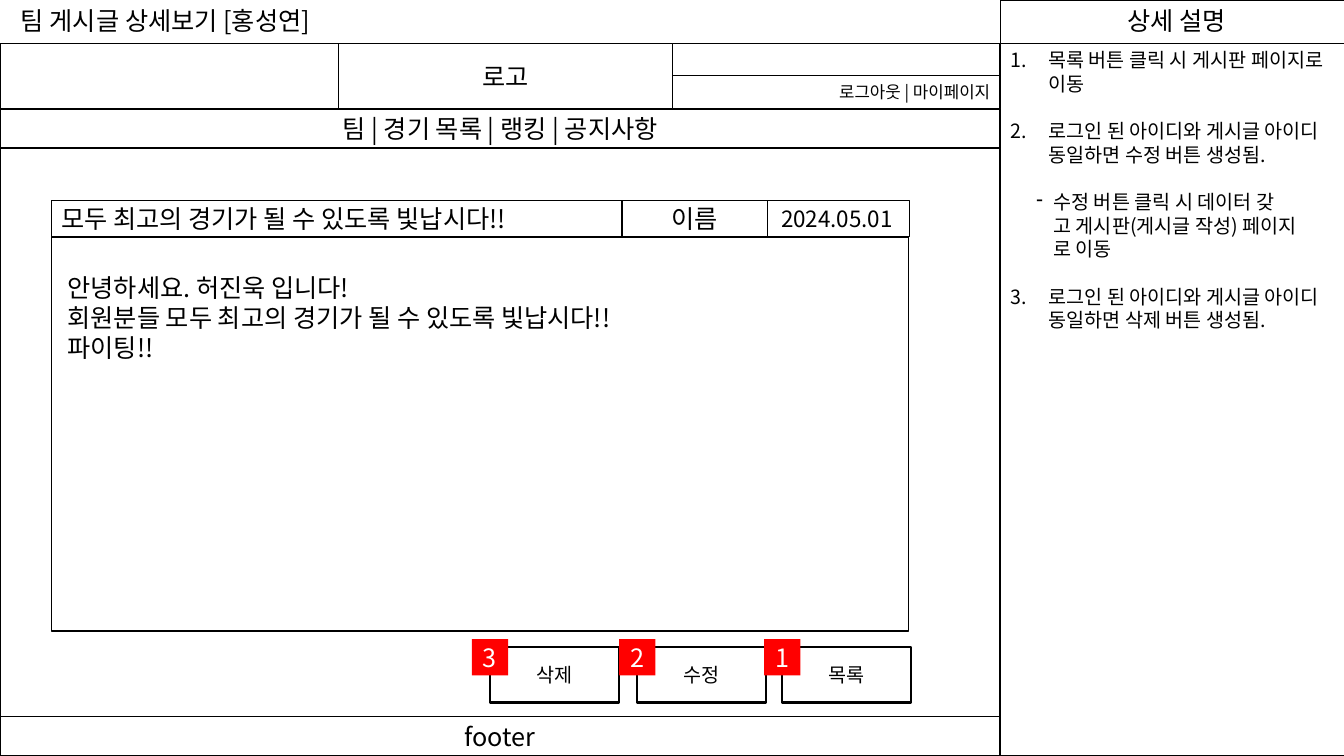
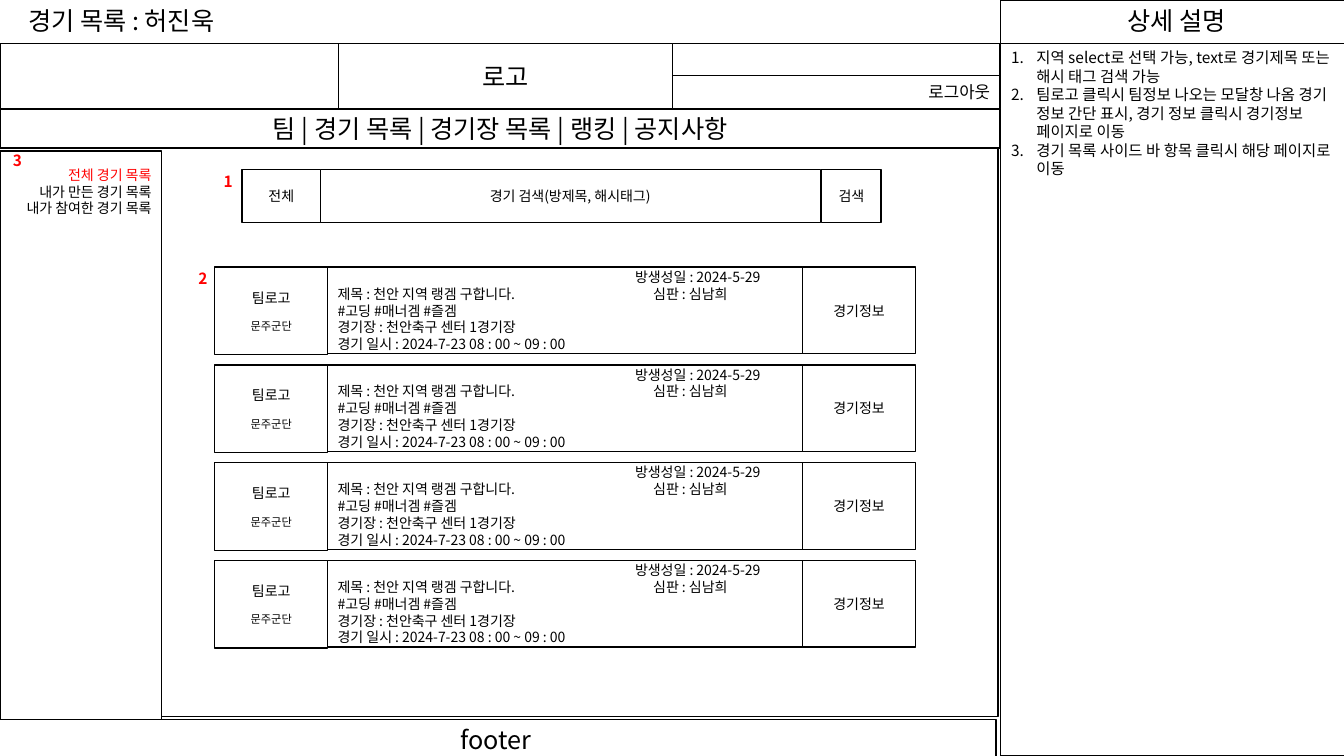
from lxml.etree import SubElement
from pptx import Presentation
from pptx.dml.color import RGBColor
from pptx.enum.shapes import MSO_SHAPE as SHAPE
from pptx.enum.text import MSO_ANCHOR as ANCHOR, MSO_AUTO_SIZE as AUTO_SIZE, PP_ALIGN as ALIGN
from pptx.oxml.ns import qn
from pptx.util import Inches, Pt

BLACK = RGBColor(0x00, 0x00, 0x00)
WHITE = RGBColor(0xFF, 0xFF, 0xFF)
RED = RGBColor(0xFF, 0x00, 0x00)
FONT = "Noto Sans CJK KR"

PAGE_WIDTH = 9.92
NOTES_WIDTH = 3.42
TITLE_HEIGHT = 0.43
NAV_TOP, NAV_HEIGHT = 1.08, 0.39
BODY_TOP = NAV_TOP + NAV_HEIGHT

CARD_TOP, CARD_PITCH, CARD_COUNT = 2.65, 0.97, 4
CARD_DETAILS = [
    "\t방생성일 : 2024-5-29",
    "제목 : 천안 지역 랭겜 구합니다.\t심판 : 심남희",
    "#고딩 #매너겜 #즐겜",
    "경기장 : 천안축구 센터 1경기장",
    "경기 일시 : 2024-7-23 08 : 00 ~ 09 : 00",
]


def style_run(run, size, color, bold=False):
    run.font.size = Pt(size)
    run.font.name = FONT
    run.font.color.rgb = color
    run.font.bold = bold
    SubElement(run._r.get_or_add_rPr(), qn("a:ea"), typeface=FONT)


def write(frame, text, size, color=BLACK, align=ALIGN.LEFT, bold=False):
    """Fill a frame, one paragraph for each line of text."""
    frame.text = text
    for paragraph in frame.paragraphs:
        paragraph.alignment = align
        for run in paragraph.runs:
            style_run(run, size, color, bold)


def add_box(slide, left, top, width, height, text="", size=18, align=ALIGN.CENTER,
            color=BLACK, fill=WHITE, line=1, anchor=ANCHOR.MIDDLE):
    box = slide.shapes.add_shape(SHAPE.RECTANGLE, Inches(left), Inches(top),
                                 Inches(width), Inches(height))
    box.shadow.inherit = False
    box.fill.solid()
    box.fill.fore_color.rgb = fill
    if line:
        box.line.color.rgb = BLACK
        box.line.width = Pt(line)
    else:
        box.line.fill.background()
    box.text_frame.vertical_anchor = anchor
    if text:
        write(box.text_frame, text, size, color, align)
    return box


def add_label(slide, left, top, width, height, text, size=18, color=BLACK, bold=False):
    label = slide.shapes.add_textbox(Inches(left), Inches(top), Inches(width), Inches(height))
    frame = label.text_frame
    frame.word_wrap = True
    frame.auto_size = AUTO_SIZE.SHAPE_TO_FIT_TEXT
    write(frame, text, size, color, bold=bold)
    return label


def hang(paragraph, left, hanging):
    """Give a paragraph a hanging indent and return its properties."""
    properties = paragraph._p.get_or_add_pPr()
    properties.set("marL", str(Inches(left)))
    properties.set("indent", str(-Inches(hanging)))
    return properties


def number(paragraph, indent, start=1):
    numbering = SubElement(hang(paragraph, indent, indent), qn("a:buAutoNum"),
                           type="arabicPeriod")
    if start > 1:
        numbering.set("startAt", str(start))


def dash(paragraph, left, hanging):
    SubElement(hang(paragraph, left, hanging), qn("a:buChar"), char="-")


def set_tab(paragraph, position):
    tabs = SubElement(paragraph._p.get_or_add_pPr(), qn("a:tabLst"))
    SubElement(tabs, qn("a:tab"), pos=str(Inches(position)), algn="l")


def add_notes_panel(slide):
    add_box(slide, PAGE_WIDTH, TITLE_HEIGHT, NOTES_WIDTH, 7.5 - TITLE_HEIGHT)
    add_box(slide, PAGE_WIDTH, 0, NOTES_WIDTH, TITLE_HEIGHT)
    add_label(slide, 11.08, 0, 1.3, 0.4, "상세 설명")


def add_site_header(slide, menu, account):
    add_box(slide, 0, TITLE_HEIGHT, PAGE_WIDTH, BODY_TOP - TITLE_HEIGHT)
    add_box(slide, 3.36, TITLE_HEIGHT, 3.31, NAV_TOP - TITLE_HEIGHT, "로고")
    add_box(slide, 0, NAV_TOP, PAGE_WIDTH, NAV_HEIGHT, " | ".join(menu))
    add_box(slide, 6.67, 0.75, 3.25, 0.33, account, 12, ALIGN.RIGHT)


def add_footer(slide, left, top):
    add_box(slide, left, top, PAGE_WIDTH, 0.39, "footer")


def add_numbered_button(slide, left, caption, mark):
    top = 6.42
    add_box(slide, left, top, 1.28, 0.55, caption, 14, line=1.5)
    add_box(slide, left - 0.18, top - 0.08, 0.36, 0.36, mark,
            color=WHITE, fill=RED, line=0)


def add_red_mark(slide, left, top, mark):
    add_label(slide, left, top, 0.38, 0.29, mark, 11, RED, bold=True)


def add_match_card(slide, top):
    details = add_box(slide, 3.25, top, 4.71, 0.86, "\n".join(CARD_DETAILS), 10, ALIGN.LEFT)
    created, title = details.text_frame.paragraphs[:2]
    set_tab(created, 2.95)
    set_tab(title, 3.13)
    add_box(slide, 7.96, top, 1.12, 0.86, "경기정보", 10)
    team = add_box(slide, 2.13, top, 1.12, 0.87, "팀로고\n문주군단", 10)
    team_name = team.text_frame.paragraphs[1]
    team_name.space_before = Pt(9.5)
    team_name.runs[0].font.size = Pt(8)


def add_post_notes(slide):
    notes = add_label(slide, PAGE_WIDTH, TITLE_HEIGHT, 3.41, 2.93, "\n".join([
        "목록 버튼 클릭 시 게시판 페이지로 이동",
        "로그인 된 아이디와 게시글 아이디 동일하면 수정 버튼 생성됨.",
        "수정 버튼 클릭 시 데이터 갖\v고 게시판(게시글 작성) 페이지\v로 이동",
        "로그인 된 아이디와 게시글 아이디 동일하면 삭제 버튼 생성됨.",
    ]), 14)
    to_list, edit, edit_detail, delete = notes.text_frame.paragraphs
    for paragraph in (edit, edit_detail, delete):
        paragraph.space_before = Pt(17)
    number(to_list, 0.38)
    number(edit, 0.38)
    dash(edit_detail, 0.43, 0.17)
    number(delete, 0.38, start=3)


def build_post_slide(slide):
    add_notes_panel(slide)
    add_box(slide, 0, NAV_TOP, PAGE_WIDTH, 6.03)
    add_site_header(slide, ["팀", "경기 목록", "랭킹", "공지사항"], "로그아웃 | 마이페이지")
    add_label(slide, 0.11, 0, 3.4, 0.4, "팀 게시글 상세보기 [홍성연]")

    add_box(slide, 0.51, 1.99, 8.5, 0.36, "모두 최고의 경기가 될 수 있도록 빛납시다!!",
            align=ALIGN.LEFT)
    post = add_box(slide, 0.51, 2.35, 8.5, 3.91, "\n".join([
        "안녕하세요. 허진욱 입니다!",
        "회원분들 모두 최고의 경기가 될 수 있도록 빛납시다!!",
        "파이팅!!",
    ]), align=ALIGN.LEFT, anchor=ANCHOR.TOP)
    post.text_frame.margin_left = Inches(0.16)
    post.text_frame.margin_top = Inches(0.35)
    add_box(slide, 7.58, 1.99, 1.44, 0.36, "2024.05.01", 16)
    add_box(slide, 6.17, 1.99, 1.44, 0.36, "이름")

    for left, caption, mark in [(4.86, "삭제", "3"), (6.32, "수정", "2"), (7.76, "목록", "1")]:
        add_numbered_button(slide, left, caption, mark)
    add_post_notes(slide)
    add_footer(slide, 0, 7.11)


def build_match_slide(slide):
    add_notes_panel(slide)
    add_box(slide, -0.02, BODY_TOP, PAGE_WIDTH, 5.64)
    add_site_header(slide, ["팀", "경기 목록", "경기장 목록", "랭킹", "공지사항"], "로그아웃")
    add_footer(slide, -0.04, 7.14)
    add_label(slide, 0.18, 0, 4.65, 0.4, "경기 목록 : 허진욱")

    for left, width, caption in [(3.17, 4.97, "경기 검색(방제목, 해시태그)"),
                                 (2.4, 0.78, "전체"), (8.15, 0.59, "검색")]:
        add_box(slide, left, 1.68, width, 0.53, caption, 10)

    sidebar = add_box(slide, 0, 1.5, 1.6, 5.64,
                      "전체 경기 목록\n내가 만든 경기 목록\n내가 참여한 경기 목록",
                      10, ALIGN.RIGHT, anchor=ANCHOR.TOP)
    sidebar.text_frame.margin_top = Inches(0.15)
    sidebar.text_frame.paragraphs[0].runs[0].font.color.rgb = RED

    for card in range(CARD_COUNT):
        add_match_card(slide, CARD_TOP + card * CARD_PITCH)
    for left, top, mark in [(2.12, 1.66, "1"), (1.87, 2.62, "2"), (0.03, 1.45, "3")]:
        add_red_mark(slide, left, top, mark)

    notes = add_label(slide, 9.93, TITLE_HEIGHT, 3.38, 1.4, "\n".join([
        "지역 select로 선택 가능, text로 경기제목 또는 해시 태그 검색 가능",
        "팀로고 클릭시 팀정보 나오는 모달창 나옴 경기 정보 간단 표시, "
        "경기 정보 클릭시 경기정보 페이지로 이동",
        "경기 목록 사이드 바 항목 클릭시 해당 페이지로 이동",
    ]), 11)
    for paragraph in notes.text_frame.paragraphs:
        number(paragraph, 0.25)


def main():
    deck = Presentation()
    deck.slide_width, deck.slide_height = Inches(13.33), Inches(7.5)
    blank = deck.slide_layouts[6]
    for build in (build_post_slide, build_match_slide):
        build(deck.slides.add_slide(blank))
    deck.save("out.pptx")


if __name__ == "__main__":
    main()
